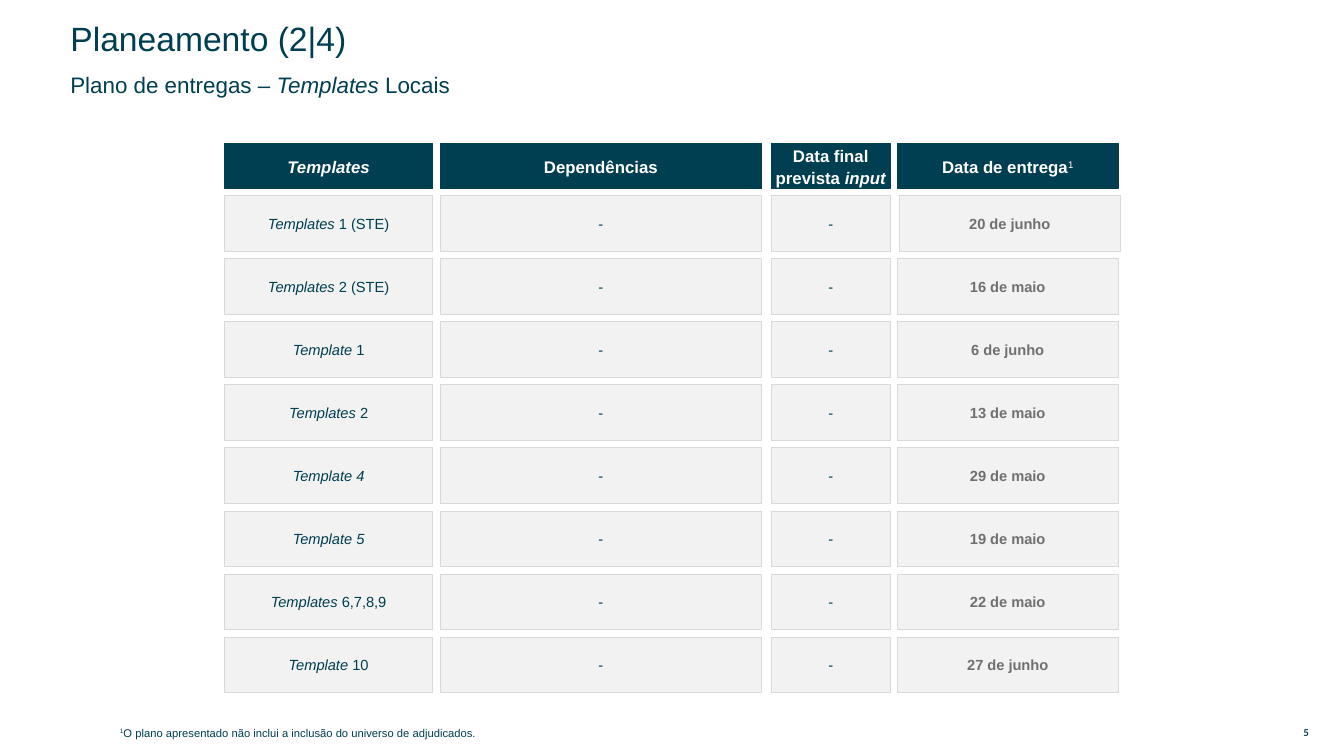
from pptx import Presentation
from pptx.dml.color import RGBColor
from pptx.enum.shapes import MSO_SHAPE
from pptx.enum.text import MSO_ANCHOR, PP_ALIGN
from pptx.util import Inches, Pt

TEAL, GREY, PALE, BORDER, WHITE = "003E51", "707070", "F2F2F2", "D9D9D9", "FFFFFF"
COLUMNS = [(2.23, 2.06, 0.04), (4.37, 3.18, 0.08), (7.65, 1.18, 0.12), (8.9, 2.19, 0.12)]
HEADERS = [
    [("Templates", "italic")],
    [("Dependências", "")],
    [("Data final prevista ", ""), ("input", "italic")],
    [("Data de entrega", ""), ("1", "super")],
]
DELIVERIES = [
    ("Templates ", "1 (STE)", "20 de junho"),
    ("Templates ", "2 (STE)", "16 de maio"),
    ("Template ", "1", "6 de junho"),
    ("Templates ", "2", "13 de maio"),
    ("Template 4", "", "29 de maio"),
    ("Template 5", "", "19 de maio"),
    ("Templates", " 6,7,8,9", "22 de maio"),
    ("Template ", "10", "27 de junho"),
]


def rgb(value):
    """Turn a hex string into a colour."""
    return RGBColor.from_string(value)


def write(tf, runs, size, color, bold=False, align=PP_ALIGN.LEFT, spacing=1.0,
          anchor=MSO_ANCHOR.MIDDLE, insets=(0.1, 0.05), font="Arial"):
    """Fill a text frame with one paragraph of (text, style) runs."""
    tf.word_wrap = True
    tf.vertical_anchor = anchor
    tf.margin_left = tf.margin_right = Inches(insets[0])
    tf.margin_top = tf.margin_bottom = Inches(insets[1])
    p = tf.paragraphs[0]
    p.alignment = align
    p.line_spacing = spacing
    p.font.name = font
    p.font.size = Pt(size)
    p.font.bold = bold
    p.font.color.rgb = rgb(color)
    for text, style in runs:
        r = p.add_run()
        r.text = text
        if style == "italic":
            r.font.italic = True
        elif style == "super":
            r.font.bold = False
            r._r.get_or_add_rPr().set("baseline", "30000")


def add_text(s, box, runs, size, color, **options):
    """Add a text box in the given box."""
    sp = s.shapes.add_textbox(*map(Inches, box))
    write(sp.text_frame, runs, size, color, **options)


def add_cell(s, box, runs, fill, line, line_width, size, color, **options):
    """Add one filled cell with centred text."""
    sp = s.shapes.add_shape(MSO_SHAPE.RECTANGLE, *map(Inches, box))
    sp.shadow.inherit = False
    sp.fill.solid()
    sp.fill.fore_color.rgb = rgb(fill)
    sp.line.color.rgb = rgb(line)
    sp.line.width = Pt(line_width)
    write(sp.text_frame, runs, size, color, align=PP_ALIGN.CENTER, **options)


def add_heading(s, left, top):
    """Add the title and the subtitle below it."""
    add_text(s, (left, top, 7.95, 0.26), [("Planeamento (2|4)", "")], 24, TEAL, spacing=0.9)
    subtitle = [("Plano de entregas – ", ""), ("Templates", "italic"), (" Locais", "")]
    add_text(s, (left, top + 0.46, 7.66, 0.26), subtitle, 16, TEAL, spacing=0.9)


def add_header_row(s, top, height):
    """Add the dark row of column headings."""
    for (left, width, _), runs in zip(COLUMNS, HEADERS):
        add_cell(s, (left, top, width, height), runs, TEAL, TEAL, 0.75, 12, WHITE,
                 bold=True, spacing=1.1, insets=(0.04, 0.04))


def add_delivery_rows(s, top, bottom, height):
    """Spread the delivery rows evenly between top and bottom."""
    pitch = (bottom - top - height) / (len(DELIVERIES) - 1)
    for i, (name, suffix, date) in enumerate(DELIVERIES):
        name_runs = [(name, "italic")] + ([(suffix, "")] if suffix else [])
        cells = [name_runs, [("-", "")], [("-", "")], [(date, "")]]
        for j, ((left, width, inset), runs) in enumerate(zip(COLUMNS, cells)):
            is_date = j == 3
            nudge = 0.02 if is_date and i == 0 else 0
            add_cell(s, (left + nudge, top + i * pitch, width, height), runs, PALE, BORDER, 0.5,
                     10.5, GREY if is_date else TEAL, bold=is_date, insets=(inset, 0.04))


def add_footer(s, left, top):
    """Add the footnote and the page number."""
    note = [("1", "super"),
            ("O plano apresentado não inclui a inclusão do universo de adjudicados.", "")]
    add_text(s, (left, top, 10.81, 0.24), note, 8, TEAL, spacing=1.1, anchor=MSO_ANCHOR.TOP)
    add_text(s, (left + 11.64, top + 0.05, 0.45, 0.16), [("5", "")], 6.8, TEAL, bold=True,
             align=PP_ALIGN.CENTER, insets=(0.06, 0.03), font="Lato")


def main():
    """Build the slide and save it."""
    prs = Presentation()
    prs.slide_width, prs.slide_height = Inches(13.33), Inches(7.5)
    s = prs.slides.add_slide(prs.slide_layouts[6])
    add_heading(s, 0.6, 0.27)
    add_header_row(s, 1.42, 0.45)
    add_delivery_rows(s, 1.94, 6.87, 0.55)
    add_footer(s, 1.09, 7.14)
    prs.save("out.pptx")


if __name__ == "__main__":
    main()
